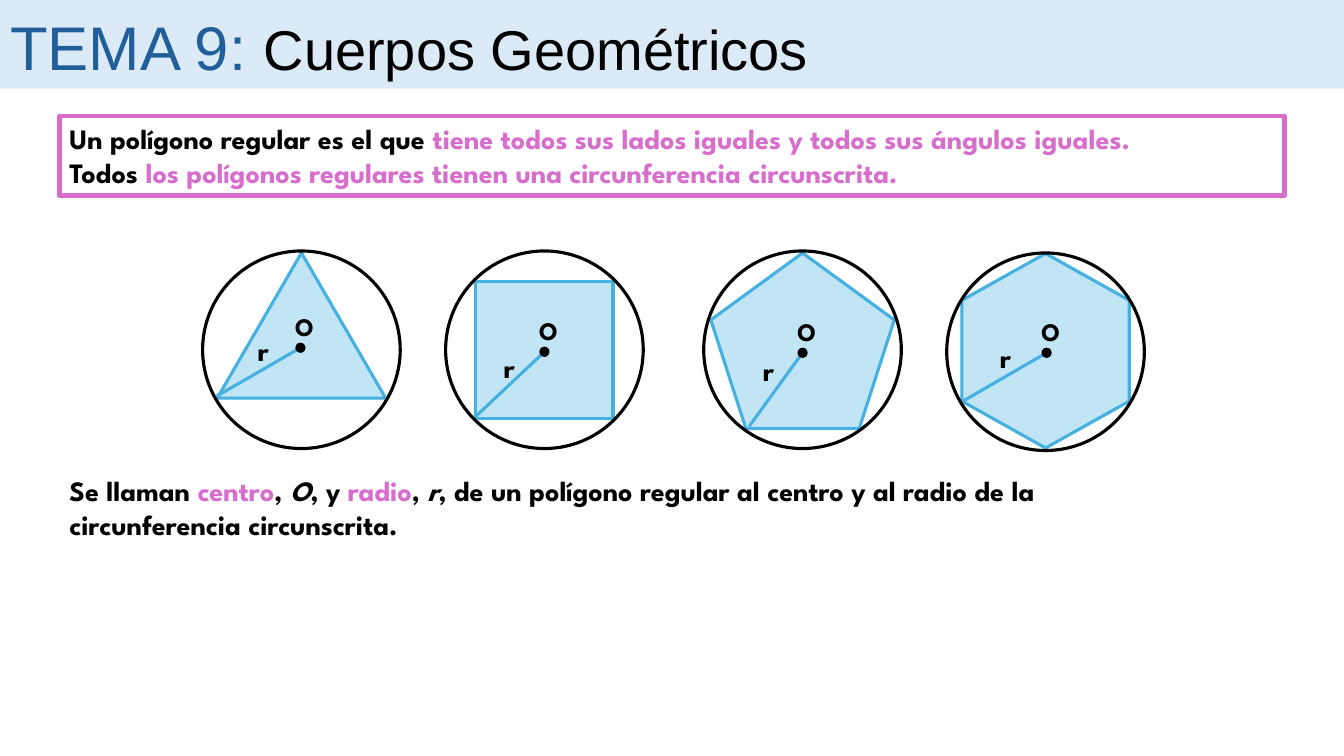
from dataclasses import dataclass

from lxml import etree
from pptx import Presentation
from pptx.dml.color import RGBColor
from pptx.enum.shapes import MSO_CONNECTOR, MSO_SHAPE
from pptx.enum.text import MSO_ANCHOR, MSO_AUTO_SIZE, PP_ALIGN
from pptx.oxml.ns import qn
from pptx.util import Inches, Pt

RECTANGLE, OVAL = MSO_SHAPE.RECTANGLE, MSO_SHAPE.OVAL
CENTER_DOT = MSO_SHAPE.FLOWCHART_CONNECTOR
STRAIGHT = MSO_CONNECTOR.STRAIGHT
LEFT, CENTER = PP_ALIGN.LEFT, PP_ALIGN.CENTER
TOP = MSO_ANCHOR.TOP
GROW, FIXED = MSO_AUTO_SIZE.SHAPE_TO_FIT_TEXT, MSO_AUTO_SIZE.NONE


@dataclass(frozen=True)
class Theme:
    ink: str = "000000"
    accent: str = "D86ECC"
    heading: str = "215F9A"
    band: str = "DCEAF7"
    polygon: str = "C1E5F5"
    edge: str = "46B1E1"
    title_font: str = "Arial"
    body_font: str = "League Spartan"
    topic_size: int = 44
    title_size: int = 40
    body_size: int = 20
    center_size: int = 18


THEME = Theme()

# Runs are (text, colour, italic)
TITLE = [("TEMA 9: ", THEME.heading, THEME.topic_size),
         ("Cuerpos Geométricos", THEME.ink, THEME.title_size)]
DEFINITION = [
    [("Un polígono regular es el que ", THEME.ink, False),
     ("tiene todos sus lados iguales y todos sus ángulos iguales.", THEME.accent, False)],
    [("Todos ", THEME.ink, False),
     ("los polígonos regulares tienen una circunferencia circunscrita.", THEME.accent, False)],
]
NAMING = [
    [("Se llaman ", THEME.ink, False), ("centro", THEME.accent, False),
     (", ", THEME.ink, False), ("O", THEME.ink, True), (", y ", THEME.ink, False),
     ("radio", THEME.accent, False), (", ", THEME.ink, False), ("r", THEME.ink, True),
     (", de un polígono regular al centro y al radio de la", THEME.ink, False)],
    [("circunferencia circunscrita.", THEME.ink, False)],
]
# Outline, its size, offset from circle centre, rotation, adjustments,
# offset of the centre mark, radius end and r label from the circle centre
FIGURES = [
    dict(outline=MSO_SHAPE.ISOSCELES_TRIANGLE, size=(1.67, 1.44), shift=(0, -0.24),
         mark=(-0.01, -0.02), vertex=(-0.84, 0.46), radius_label=(-0.38, 0.01)),
    dict(outline=RECTANGLE, size=(1.36, 1.36), shift=(0, 0),
         mark=(0, 0.02), vertex=(-0.68, 0.66), radius_label=(-0.35, 0.18)),
    dict(outline=MSO_SHAPE.REGULAR_PENTAGON, size=(1.82, 1.74), shift=(0, -0.09),
         mark=(0, 0.03), vertex=(-0.53, 0.76), radius_label=(-0.34, 0.21)),
    dict(outline=MSO_SHAPE.HEXAGON, size=(1.93, 1.66), shift=(0, -0.01), turn=90,
         adjust=(0.28, 1.155), mark=(0.01, 0.01), vertex=(-0.82, 0.49),
         radius_label=(-0.4, 0.06)),
]

WIDTH, HEIGHT = 13.33, 7.5
MARGIN = 0.59
TEXT_WIDTH = WIDTH - 2 * MARGIN
BAND_HEIGHT = 0.88
CIRCLE = 1.96
PITCH, PAIR_GAP = 2.41, 0.15      # wider gap between the two pairs of circles
FIRST_X, CIRCLE_Y = 2.99, 3.47
LAST_DROP = 0.02                  # the hexagon sits slightly lower
DOT = 0.08
LABEL_WIDTH = 0.3


def rgb(value):
    return RGBColor.from_string(value)


def inches(*values):
    return [Inches(value) for value in values]


def add_outline(shapes, kind, box, fill=None, line=None, weight=2.25):
    shape = shapes.add_shape(kind, *inches(*box))
    shape.shadow.inherit = False
    if fill:
        shape.fill.solid()
        shape.fill.fore_color.rgb = rgb(fill)
    else:
        shape.fill.background()
    if line:
        shape.line.color.rgb = rgb(line)
        shape.line.width = Pt(weight)
    else:
        shape.line.fill.background()
    return shape


def centered(x, y, width, height):
    return x - width / 2, y - height / 2, width, height


def add_runs(paragraph, runs, size):
    for text, color, italic in runs:
        run = paragraph.add_run()
        run.text = text
        font = run.font
        font.name, font.size = THEME.body_font, Pt(size)
        font.bold, font.italic = True, italic
        font.color.rgb = rgb(color)


def add_text(shapes, box, paragraphs, size=THEME.body_size, align=LEFT):
    frame = shapes.add_textbox(*inches(*box)).text_frame
    frame.word_wrap = True
    frame.auto_size = GROW
    for index, runs in enumerate(paragraphs):
        paragraph = frame.add_paragraph() if index else frame.paragraphs[0]
        paragraph.alignment = align
        add_runs(paragraph, runs, size)


def add_radius(shapes, start, end):
    radius = shapes.add_connector(STRAIGHT, *inches(*start, *end))
    radius.line.color.rgb = rgb(THEME.edge)
    radius.line.width = Pt(2.25)
    etree.SubElement(radius.element.spPr, qn("a:effectLst"))


def add_figure(slide, x, y, figure):
    """Draw a polygon inside its circle, with centre O and radius r."""
    shapes = slide.shapes.add_group_shape().shapes

    def place(offset):
        return x + offset[0], y + offset[1]

    polygon = add_outline(shapes, figure["outline"],
                          centered(*place(figure["shift"]), *figure["size"]),
                          THEME.polygon, THEME.edge)
    polygon.rotation = figure.get("turn", 0)
    for index, value in enumerate(figure.get("adjust", ())):
        polygon.adjustments[index] = value
    add_outline(shapes, OVAL, centered(x, y, CIRCLE, CIRCLE), line=THEME.ink)

    mark = place(figure["mark"])
    add_radius(shapes, mark, place(figure["vertex"]))
    add_text(shapes, centered(mark[0], mark[1] - 0.21, LABEL_WIDTH, 0.4),
             [[("O", THEME.ink, False)]], THEME.center_size, CENTER)
    add_text(shapes, centered(*place(figure["radius_label"]), LABEL_WIDTH, 0.44),
             [[("r", THEME.ink, False)]], align=CENTER)
    add_outline(shapes, CENTER_DOT, centered(*mark, DOT, DOT), THEME.ink, THEME.ink, 1.5)


def add_title(slide):
    title = slide.shapes.title
    title.left, title.top, title.width, title.height = inches(0, 0.04, 11.85, 0.84)
    frame = title.text_frame
    frame.word_wrap = True
    frame.auto_size = FIXED
    frame.vertical_anchor = TOP
    paragraph = frame.paragraphs[0]
    paragraph.alignment = LEFT
    for text, color, size in TITLE:
        run = paragraph.add_run()
        run.text = text
        run.font.name, run.font.size = THEME.title_font, Pt(size)
        run.font.color.rgb = rgb(color)
    band = add_outline(slide.shapes, RECTANGLE, (0, 0, WIDTH, BAND_HEIGHT), THEME.band)
    title.element.addprevious(band.element)


def main():
    deck = Presentation()
    deck.slide_width, deck.slide_height = inches(WIDTH, HEIGHT)
    slide = deck.slides.add_slide(deck.slide_layouts.get_by_name("Title Only"))
    add_title(slide)
    add_outline(slide.shapes, RECTANGLE, (MARGIN, 1.15, TEXT_WIDTH, 0.79),
                line=THEME.accent, weight=3)
    add_text(slide.shapes, (MARGIN, 1.16, TEXT_WIDTH, 0.77), DEFINITION)
    for column, figure in enumerate(FIGURES):
        x = FIRST_X + column * PITCH + column // 2 * PAIR_GAP
        y = CIRCLE_Y + column // 3 * LAST_DROP
        add_figure(slide, x, y, figure)
    add_text(slide.shapes, (MARGIN, 4.65, TEXT_WIDTH, 0.77), NAMING)
    deck.save("out.pptx")


if __name__ == "__main__":
    main()
